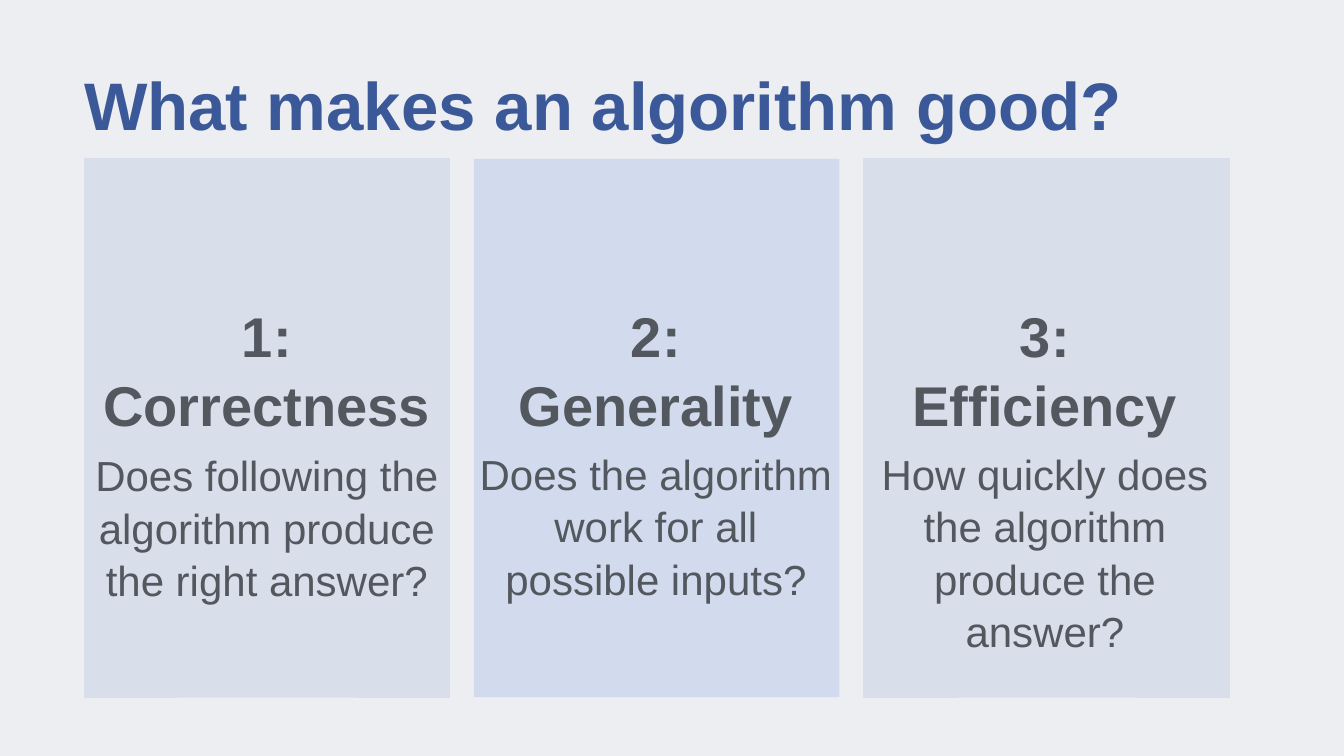
from pptx import Presentation
from pptx import util as u
from pptx.dml.color import RGBColor
from pptx.enum import shapes, text

BACKGROUND = RGBColor(0xED, 0xEE, 0xF1)
HEADING_BLUE = RGBColor(0x3B, 0x59, 0x98)
BODY_GRAY = RGBColor(0x53, 0x58, 0x5F)
CARD_GRAY = RGBColor(0xD8, 0xDF, 0xEA)
CARD_BLUE = RGBColor(0xD2, 0xDB, 0xEE)

LEFT, TOP = 1.67, 3.15
CARD_WIDTH, CARD_HEIGHT = 7.25, 10.68
CARD_STEP = 7.735
TEXT_STEP = 7.72

CRITERIA = [
    ("1:", "Correctness", "Does following the algorithm produce the right answer?", CARD_GRAY, 14),
    ("2:", "Generality", "Does the algorithm work for all possible inputs?", CARD_BLUE, 12),
    ("3:", "Efficiency", "How quickly does the algorithm produce the answer?", CARD_GRAY, 12),
]


class SlideBuilder:
    font = "Arial"
    line_spacing = 1.04

    def __init__(self, slide):
        self.slide = slide
        slide.background.fill.solid()
        slide.background.fill.fore_color.rgb = BACKGROUND

    def style(self, paragraph, size, color, bold):
        paragraph.font.name = self.font
        paragraph.font.size = u.Pt(size)
        paragraph.font.bold = bold
        paragraph.font.color.rgb = color

    def title(self, wording):
        heading = self.slide.shapes.title
        heading.left, heading.top = u.Inches(LEFT), u.Inches(1.14)
        heading.width, heading.height = u.Inches(23.33), u.Inches(2.01)
        frame = heading.text_frame
        frame.text = wording
        frame.auto_size = text.MSO_AUTO_SIZE.NONE
        frame.vertical_anchor = text.MSO_ANCHOR.TOP
        frame.margin_left = frame.margin_right = frame.margin_bottom = 0
        frame.margin_top = u.Inches(0.12)
        frame.paragraphs[0].alignment = text.PP_ALIGN.LEFT
        self.style(frame.paragraphs[0], 96, HEADING_BLUE, True)

    def card(self, left, color):
        panel = self.slide.shapes.add_shape(
            shapes.MSO_SHAPE.RECTANGLE, u.Inches(left), u.Inches(TOP),
            u.Inches(CARD_WIDTH), u.Inches(CARD_HEIGHT))
        panel.shadow.inherit = False
        panel.fill.solid()
        panel.fill.fore_color.rgb = color
        if color == CARD_GRAY:
            panel.line.color.rgb = color
            panel.line.width = u.Pt(1)
        else:
            panel.line.fill.background()

    def criterion(self, left, number, name, question, gap):
        frame = self.slide.shapes.add_textbox(
            u.Inches(left), u.Inches(TOP),
            u.Inches(CARD_WIDTH), u.Inches(CARD_HEIGHT)).text_frame
        frame.word_wrap = True
        frame.margin_top = u.Inches(2.77)
        frame.text = "\n".join((number, name, question))
        for paragraph in frame.paragraphs:
            paragraph.alignment = text.PP_ALIGN.CENTER
            paragraph.line_spacing = self.line_spacing
            self.style(paragraph, 80, BODY_GRAY, True)
        description = frame.paragraphs[-1]
        description.space_before = u.Pt(gap)
        self.style(description, 60, BODY_GRAY, False)


def main():
    deck = Presentation()
    deck.slide_width, deck.slide_height = u.Inches(26.67), u.Inches(15)
    builder = SlideBuilder(deck.slides.add_slide(deck.slide_layouts[5]))
    builder.title("What makes an algorithm good?")
    for column, (_, _, _, color, _) in enumerate(CRITERIA):
        builder.card(LEFT + column * CARD_STEP, color)
    for column, (number, name, question, _, gap) in enumerate(CRITERIA):
        builder.criterion(LEFT + column * TEXT_STEP, number, name, question, gap)
    deck.save("out.pptx")


if __name__ == "__main__":
    main()
